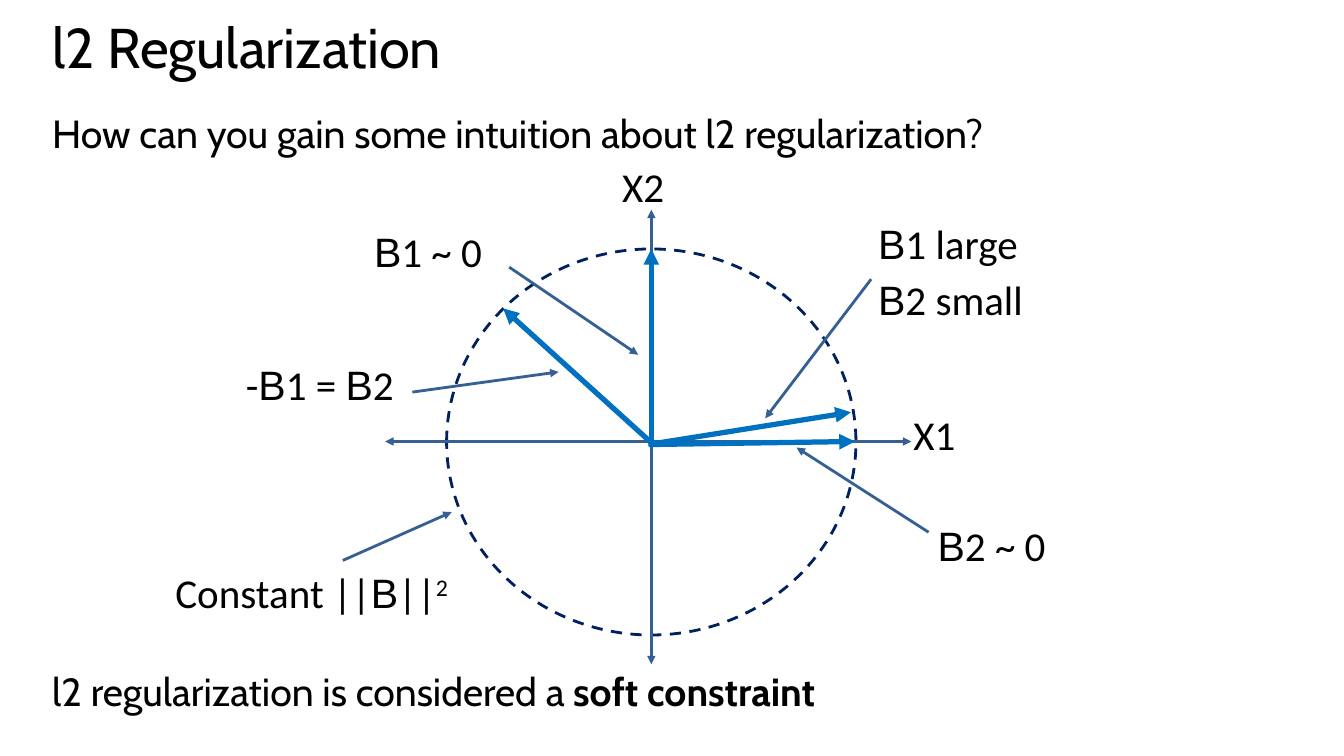
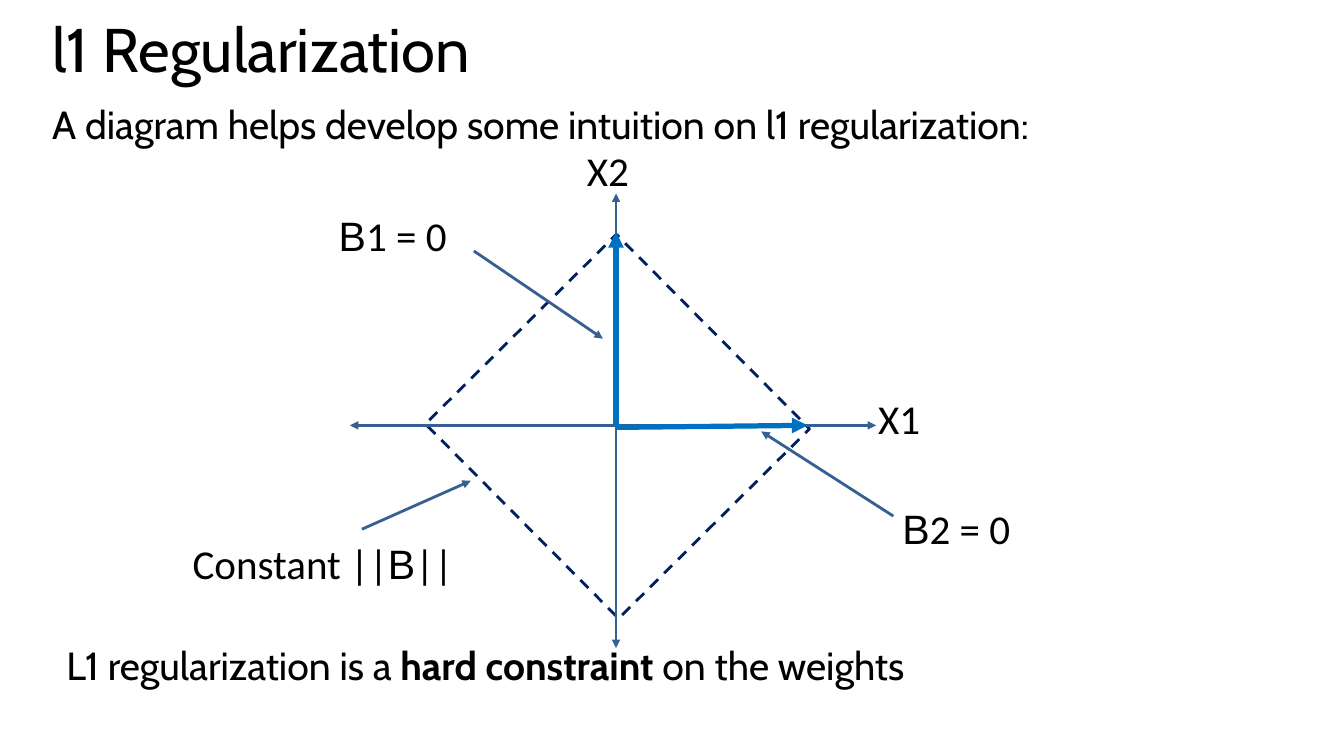
from dataclasses import dataclass

from lxml import etree
from pptx import Presentation
from pptx.dml.color import RGBColor
from pptx.enum import dml, shapes
from pptx.oxml import ns
from pptx.util import Inches, Pt


@dataclass(frozen=True)
class Theme:
    ink: RGBColor = RGBColor(0x00, 0x00, 0x00)
    boundary: RGBColor = RGBColor(0x00, 0x20, 0x60)
    axis: RGBColor = RGBColor(0x37, 0x60, 0x92)
    vector: RGBColor = RGBColor(0x00, 0x70, 0xC0)
    prose_font: str = "Cabin"
    label_font: str = "Calibri"
    greek_font: str = "Arial"
    body_size: float = 28
    label_size: float = 29.3
    thin: float = 2
    thick: float = 3.75


theme = Theme()
BETA = ("Β", "greek")
LABEL_INSETS = (0.13, 0.07)


def add_text(slide, at, lines, font, size, insets=(0.1, 0.05), before=0, spacing=None):
    """Each line is a list of runs: plain strings or (text, "greek" | "bold" | "super")."""
    frame = slide.shapes.add_textbox(*map(Inches, at)).text_frame
    frame.word_wrap = True
    frame.margin_left = frame.margin_right = Inches(insets[0])
    frame.margin_top = frame.margin_bottom = Inches(insets[1])
    for number, line in enumerate(lines):
        paragraph = frame.paragraphs[0] if number == 0 else frame.add_paragraph()
        paragraph.space_before = Pt(before)
        paragraph.line_spacing = spacing
        paragraph.font.name = font
        paragraph.font.size = Pt(size)
        paragraph.font.color.rgb = theme.ink
        for part in line:
            wording, style = (part, None) if isinstance(part, str) else part
            run = paragraph.add_run()
            run.text = wording
            if style == "greek":
                run.font.name = theme.greek_font
            elif style == "bold":
                run.font.bold = True
            elif style == "super":
                run.font._element.set("baseline", "30000")


def add_arrow(slide, origin, ends, color, width, both=False):
    """Draw from ends[:2] to ends[2:], both measured from the origin of the axes."""
    x, y = origin
    x1, y1, x2, y2 = ends
    arrow = slide.shapes.add_connector(
        shapes.MSO_CONNECTOR.STRAIGHT,
        Inches(x + x1), Inches(y + y1), Inches(x + x2), Inches(y + y2))
    arrow.line.color.rgb = color
    arrow.line.width = Pt(width)
    line = arrow.line._get_or_add_ln()
    for tag in ("a:headEnd", "a:tailEnd") if both else ("a:tailEnd",):
        etree.SubElement(line, ns.qn(tag), type="triangle")
    etree.SubElement(arrow._element.spPr, ns.qn("a:effectLst"))


# Labels, vectors and pointers are measured from the origin of the axes.
axes = [(0, -2.3, 0, 2.21), (2.58, 0, -2.64, 0)]
axis_labels = [((-0.42, -2.85, 0.77, 0.64), [["X2"]]),
               ((2.47, -0.39, 0.77, 0.64), [["X1"]])]
beta_1_at = (-2.88, -2.2, 1.56, 0.64)
beta_2_at = (2.71, 0.71, 1.56, 0.64)
shared_pointers = [(-1.41, -1.73, -0.13, -0.86), (2.75, 0.9, 1.44, 0.06)]

lessons = [
    dict(
        title="l2 Regularization", title_size=40,
        question="How can you gain some intuition about l2 regularization?",
        question_top=1.04,
        conclusion=["l2 regularization is considered a ", ("soft constraint", "bold")],
        conclusion_at=(0.42, 6.57),
        origin=(6.46, 4.38),
        boundary=(shapes.MSO_SHAPE.OVAL, (4.43, 2.47, 4.06, 3.83), 0),
        vectors=[(0, 0, 0, -1.91), (0, 0.03, 2.02, 0),
                 (0.02, 0.03, -1.47, -1.32), (-0.03, 0.03, 1.98, -0.29)],
        labels=[
            (beta_1_at, [[BETA, "1 ~ 0"]]),
            (beta_2_at, [[BETA, "2 ~ 0"]]),
            ((-4.85, 1.18, 3.22, 0.64), [["Constant ||", BETA, "||", ("2", "super")]]),
            ((2.12, -2.28, 2.13, 1.2), [[BETA, "1 large"], [BETA, "2 small"]]),
            ((-4.15, -0.88, 1.97, 0.64), [["-", BETA, "1 = ", BETA, "2"]]),
        ],
        pointers=[(-3.06, 1.18, -1.98, 0.7), (-2.37, -0.49, -0.92, -0.69),
                  (2.18, -1.61, 1.13, -0.23)],
    ),
    dict(
        title="l1 Regularization", title_size=44,
        question="A diagram helps develop some intuition on l1 regularization:",
        question_top=0.95,
        conclusion=["L1 regularization is a ", ("hard constraint ", "bold"),
                    "on the weights"],
        conclusion_at=(0.56, 6.31),
        origin=(6.11, 4.22),
        boundary=(shapes.MSO_SHAPE.RECTANGLE, (4.79, 2.87, 2.67, 2.72), 315.2),
        vectors=[(0, 0, 0, -1.92), (0, 0.02, 1.9, 0)],
        labels=[
            (beta_1_at, [[BETA, "1 = 0"]]),
            (beta_2_at, [[BETA, "2 = 0"]]),
            ((-4.33, 1.05, 3.22, 0.64), [["Constant ||", BETA, "||"]]),
        ],
        pointers=[(-2.52, 1.03, -1.44, 0.55)],
    ),
]

deck = Presentation()
deck.slide_width, deck.slide_height = Inches(13.33), Inches(7.5)

for lesson in lessons:
    slide = deck.slides.add_slide(deck.slide_layouts[6])
    origin = lesson["origin"]

    add_text(slide, (0.42, 0.2, 12.6, 1.16), [[lesson["title"]]],
             theme.prose_font, lesson["title_size"], spacing=0.8)
    for at, line in [((0.42, lesson["question_top"]), [lesson["question"]]),
                     (lesson["conclusion_at"], lesson["conclusion"])]:
        add_text(slide, (*at, 12.6, 0.77), [line],
                 theme.prose_font, theme.body_size, before=14)

    outline, place, turn = lesson["boundary"]
    boundary = slide.shapes.add_shape(outline, *map(Inches, place))
    boundary.rotation = turn
    boundary.shadow.inherit = False
    boundary.fill.background()
    boundary.line.color.rgb = theme.boundary
    boundary.line.width = Pt(theme.thin)
    boundary.line.dash_style = dml.MSO_LINE.DASH

    for ends in axes:
        add_arrow(slide, origin, ends, theme.axis, theme.thin, both=True)
    for ends in lesson["vectors"]:
        add_arrow(slide, origin, ends, theme.vector, theme.thick)
    for ends in shared_pointers + lesson["pointers"]:
        add_arrow(slide, origin, ends, theme.axis, theme.thin)

    for (dx, dy, width, height), lines in axis_labels + lesson["labels"]:
        add_text(slide, (origin[0] + dx, origin[1] + dy, width, height), lines,
                 theme.label_font, theme.label_size, LABEL_INSETS, before=5)

deck.save("out.pptx")
